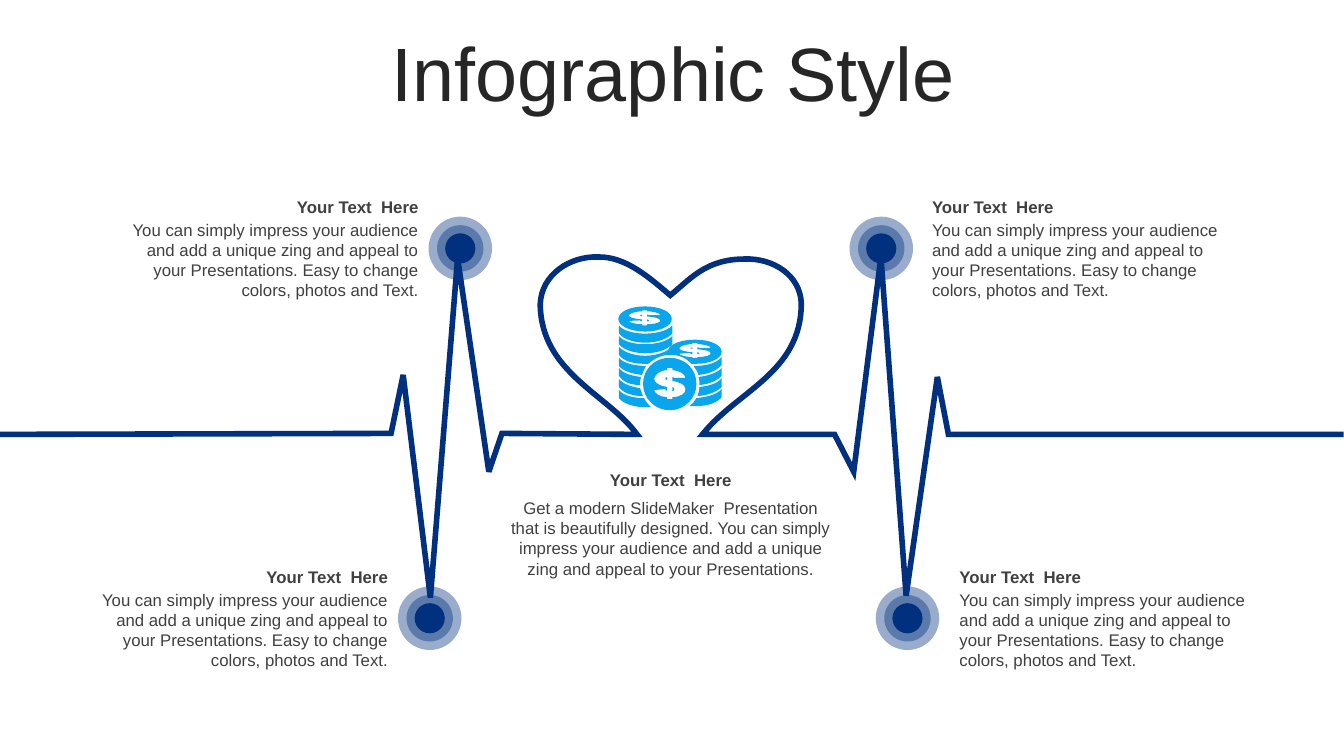
from dataclasses import dataclass

from lxml import etree
from pptx import Presentation
from pptx import util as u
from pptx.dml.color import RGBColor
from pptx.enum import shapes, text
from pptx.oxml.ns import qn

COLORS = {"title": "262626", "body": "404040", "navy": "00307E", "sky": "0AA6ED"}
FONT = "Arial"
HEADING = "Your Text  Here"
IMPRESS = ("You can simply impress your audience and add a unique zing and appeal "
           "to your Presentations. Easy to change colors, photos and Text.")
MODERN = ("Get a modern SlideMaker  Presentation that is beautifully designed. You can "
          "simply impress your audience and add a unique zing and appeal to your Presentations.")
LEFT, CENTER, RIGHT = text.PP_ALIGN.LEFT, text.PP_ALIGN.CENTER, text.PP_ALIGN.RIGHT

Segment = list[tuple[float, float]]  # one point for a line, three for a curve
Contour = list[Segment]


@dataclass
class Note:
    left: float
    top: float
    width: float
    gap: float  # from heading top to body top
    body: str
    align: text.PP_ALIGN


@dataclass
class Ring:
    size: float
    alpha: int


NOTES = [
    Note(12.6, 11.71, 8.61, 0.71, MODERN, CENTER),
    Note(2.9, 4.83, 7.9, 0.58, IMPRESS, RIGHT),
    Note(2.13, 14.15, 7.9, 0.58, IMPRESS, RIGHT),
    Note(23.24, 4.83, 7.9, 0.58, IMPRESS, LEFT),
    Note(23.93, 14.15, 7.9, 0.58, IMPRESS, LEFT),
]
RINGS = [Ring(1.6, 40), Ring(1.17, 40), Ring(0.76, 100)]
MARKERS = [(11.6, 6.26), (22.21, 6.26), (10.83, 15.58), (22.87, 15.58)]

# Outlines use hundredths of an inch: M move, L line, C cubic curve
PULSE = """M -1 431 L 388 430 L 400 372 L 427 593 L 454 256 L 485 468 L 498 430 L 632 431
C 603 391 537 370 536 302 C 537 272 566 254 593 255 C 621 254 646 277 665 293
C 685 277 700 257 739 257 C 767 256 794 273 795 301 C 795 370 731 388 697 431
L 828 431 L 847 468 L 874 255 L 899 591 L 930 374 L 941 431 L 1333 431"""
DOLLAR = """M -3 -16 L -3 -14 C -11 -13 -16 -9 -16 -5 C -16 -1 -10 2 -3 3 L -3 7
C -4 7 -5 6 -5 5 L -16 6 C -16 9 -10 13 -3 13 L -3 15 L 2 15 L 2 13
C 10 13 16 9 15 5 C 15 1 10 -2 2 -3 L 2 -7 C 3 -7 4 -6 4 -6 L 15 -6
C 15 -10 9 -13 2 -14 L 2 -16
M -3 -7 L -3 -4 C -4 -4 -5 -5 -5 -5 C -5 -6 -4 -7 -3 -7
M 2 3 C 3 4 4 4 4 5 C 4 6 4 7 2 7"""
DISC = """M 0 -26 C 15 -26 26.5 -15 26.5 0 C 26.5 14 15 26 0 26
C -15 26 -26.5 14 -26.5 0 C -26.5 -15 -15 -26 0 -26"""
FULL_BAND = """M 614 0 C 619 6 631 8 640 8 C 649 8 661 6 667 0 L 667 8
C 662 13 653 17 640 17 C 630 17 619 14 614 8"""
CUT_BANDS = """M 614 355 C 619 361 631 363 640 363 L 641 363 C 639 366 638 369 637 372
C 627 371 618 368 614 363
M 614 365 C 618 371 628 373 636 374 C 635 376 635 379 635 382 C 626 382 618 379 614 373
M 614 376 C 618 381 627 384 635 385 C 636 388 637 391 638 393 C 628 393 618 390 614 384
M 614 387 C 619 393 630 395 639 395 C 641 399 643 401 646 404 L 640 404
C 630 404 619 401 614 395
M 716 354 L 716 362 C 712 367 704 371 693 372 C 692 368 690 366 688 363 L 690 363
C 699 363 711 361 716 354
M 716 365 L 716 373 C 712 377 705 381 694 382 C 694 379 694 376 693 374
C 702 373 712 370 716 365
M 716 375 L 716 384 C 712 388 704 392 692 393 C 693 390 694 387 694 384
C 702 383 712 381 716 375
M 716 386 L 716 394 C 712 399 703 403 690 403 L 684 403 C 687 401 689 398 691 395
C 700 394 711 392 716 386"""
RIGHT_TOP_COIN = """M 690 337 C 704 337 716 342 716 349 C 716 356 704 361 690 361 L 686 361
C 681 355 673 352 665 352 C 656 352 649 356 643 361 L 640 361
C 630 361 619 359 614 352 L 614 344 C 619 350 631 353 640 353
C 647 353 657 351 663 347 C 665 341 676 337 690 337"""


def trace(outline: str, dx: float = 0, dy: float = 0, squash: float = 1) -> list[Contour]:
    """Turn an outline into contours, moved and flattened as asked."""
    contours: list[Contour] = []
    for part in outline.split("M")[1:]:
        contour: Contour = []
        for piece in part.replace("L", "|").replace("C", "|").split("|"):
            nums = [float(n) for n in piece.split()]
            contour.append([(x + dx, y * squash + dy) for x, y in zip(nums[::2], nums[1::2])])
        contours.append(contour)
    return contours


def add_outline(slide, contours: list[Contour], close: bool):
    """Build one freeform on a grid of a thousandth of a centimetre."""
    builder = None
    for contour in contours:
        start, *pts = [(x * 25.4, y * 25.4) for segment in contour for x, y in segment]
        if builder is None:
            builder = slide.shapes.build_freeform(*start, scale=u.Cm(0.001))
        else:
            builder.move_to(*start)
        builder.add_line_segments(pts, close=close)
    sp = builder.convert_to_shape()
    sp.shadow.inherit = False

    # Join each three points of a curve into one cubic segment
    outline = sp._element.find(".//" + qn("a:path"))
    lines = iter(outline.findall(qn("a:lnTo")))
    for contour in contours:
        for segment in contour[1:]:
            steps = [next(lines) for _ in segment]
            if len(steps) == 3:
                curve = etree.Element(qn("a:cubicBezTo"))
                steps[0].addprevious(curve)
                for step in steps:
                    curve.append(step[0])
                    outline.remove(step)
    return sp


def paint(sp, color: str, alpha: int = 100) -> None:
    sp.fill.solid()
    sp.fill.fore_color.rgb = RGBColor.from_string(COLORS[color])
    sp.line.fill.background()
    if alpha < 100:
        clr = sp._element.spPr.find(qn("a:solidFill"))[0]
        etree.SubElement(clr, qn("a:alpha")).set("val", str(alpha * 1000))


def add_text(slide, box: tuple, words: str, size: int, color: str, align, bold: bool = False):
    tf = slide.shapes.add_textbox(*(u.Cm(v) for v in box)).text_frame
    tf.word_wrap = True
    p = tf.paragraphs[0]
    p.text = words
    p.alignment = align
    p.font.name, p.font.size, p.font.bold = FONT, u.Pt(size), bold
    p.font.color.rgb = RGBColor.from_string(COLORS[color])
    return tf


def add_note(slide, note: Note) -> None:
    body_box = (note.left, note.top + note.gap, note.width, 2.31)
    add_text(slide, body_box, note.body, 12, "body", note.align)
    add_text(slide, (note.left, note.top, note.width, 0.77), HEADING, 12, "body", note.align, True)


def add_marker(slide, cx: float, cy: float) -> None:
    for ring in RINGS:
        sp = slide.shapes.add_shape(
            shapes.MSO_SHAPE.OVAL, u.Cm(cx - ring.size / 2), u.Cm(cy - ring.size / 2),
            u.Cm(ring.size), u.Cm(ring.size))
        sp.shadow.inherit = False
        paint(sp, "navy", ring.alpha)


def main() -> None:
    prs = Presentation()
    prs.slide_width, prs.slide_height = u.Cm(33.87), u.Cm(19.05)
    slide = prs.slides.add_slide(prs.slide_layouts[6])

    # Title
    tf = add_text(slide, (0.89, 0.94, 32.16, 2.01), "Infographic Style", 54, "title", CENTER)
    tf.vertical_anchor = text.MSO_ANCHOR.MIDDLE
    tf.paragraphs[0].line_spacing = 0.9

    # Heartbeat line
    pulse = add_outline(slide, trace(PULSE), close=False)
    pulse.fill.background()
    pulse.line.color.rgb = RGBColor.from_string(COLORS["navy"])
    pulse.line.width = u.Pt(4)
    ln = pulse._element.spPr.find(qn("a:ln"))
    etree.SubElement(ln, qn("a:miter")).set("lim", "800000")

    # Notes and markers
    for note in NOTES:
        add_note(slide, note)
    for cx, cy in MARKERS:
        add_marker(slide, cx, cy)

    # Coin stacks
    coins = trace(DISC, 640, 316.5, 0.48) + trace(DISC, 664.5, 381)
    coins += trace(RIGHT_TOP_COIN) + trace(CUT_BANDS)
    for top in (323, 333.5):
        coins += trace(FULL_BAND, dy=top)
    for cx, cy, squash in ((665, 381, 1), (640, 315.5, 0.48), (690, 348, 0.48)):
        coins += trace(DOLLAR, cx, cy, squash)
    paint(add_outline(slide, coins, close=True), "sky")

    prs.save("out.pptx")


if __name__ == "__main__":
    main()
